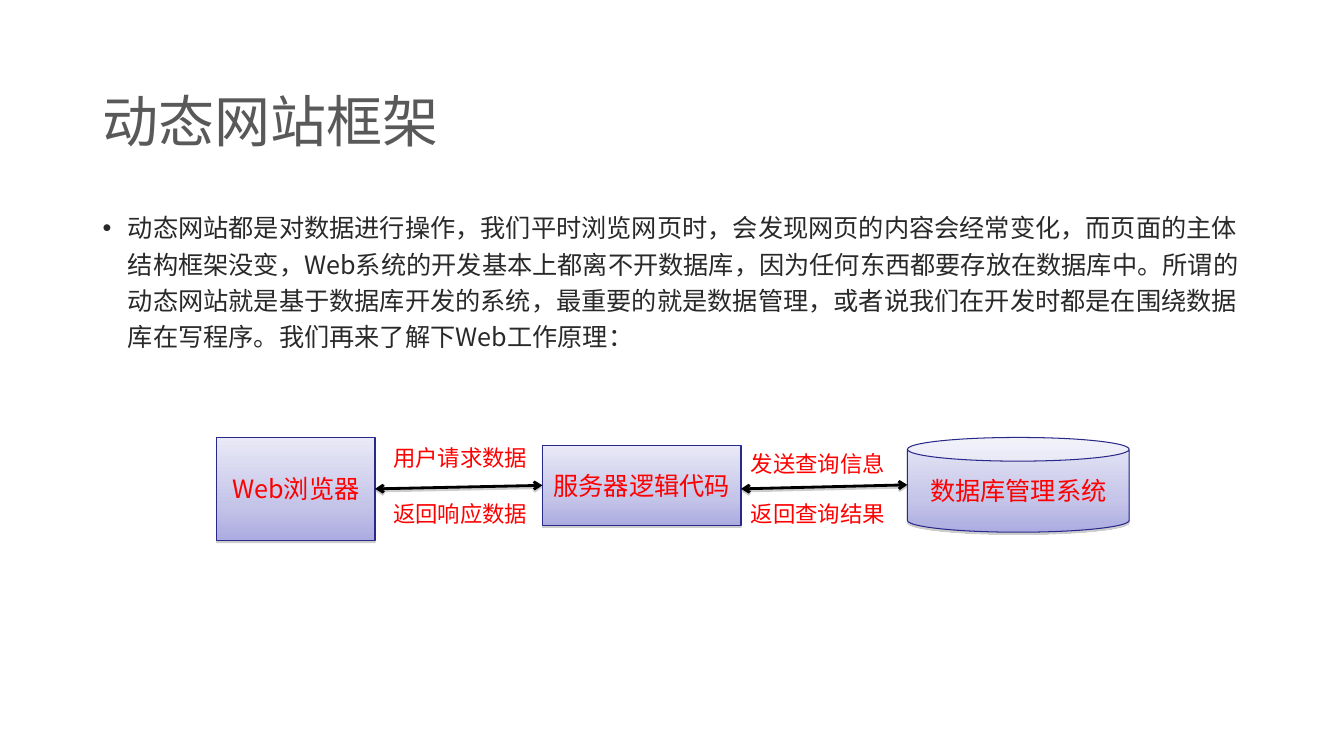
from lxml import etree
from pptx import Presentation, util as u
from pptx.dml.color import RGBColor
from pptx.enum import shapes, text
from pptx.oxml import parse_xml
from pptx.oxml.ns import nsdecls, qn

PX = 9144  # 100 px to the inch
THEME = dict(
    title=("Arial", 40, "595959"),
    body=("Noto Sans CJK SC", 18, "292929"),
    node=("Noto Sans CJK SC", 18, "FF0000"),
    label=("Noto Sans CJK SC", 16, "FF0000"),
    east_asian="Noto Sans CJK SC",
    gradient=[(0, "E9E9F7"), (65, "C5C5E9"), (100, "ACACE1")],
    border="292989",
    arrow="000000",
    shadow="808080",
)


def write(tf, words, style, anchor=text.MSO_ANCHOR.TOP):
    """Put one styled paragraph in a text frame."""
    name, size, color = THEME[style]
    tf.text = words
    tf.vertical_anchor = anchor
    p = tf.paragraphs[0]
    for r in p.runs:
        r.font.name, r.font.size = name, u.Pt(size)
        r.font.color.rgb = RGBColor.from_string(color)
        ea = etree.SubElement(r.font._element, qn("a:ea"))
        ea.set("typeface", THEME["east_asian"])
    return p


def add_shadow(sp):
    """Append a soft shadow falling straight down."""
    sp._element.spPr.append(parse_xml(
        f'<a:effectLst {nsdecls("a")}><a:outerShdw dist="{u.Pt(1.6)}" dir="5400000" '
        f'rotWithShape="0"><a:srgbClr val="{THEME["shadow"]}"><a:alpha val="38000"/>'
        '</a:srgbClr></a:outerShdw></a:effectLst>'))


prs = Presentation()
prs.slide_width, prs.slide_height = 1333 * PX, 750 * PX
s = prs.slides.add_slide(prs.slide_layouts[6])

# Title
tf = s.shapes.add_textbox(92 * PX, 40 * PX, 1150 * PX, 145 * PX).text_frame
tf.word_wrap = True
p = write(tf, "动态网站框架", "title", text.MSO_ANCHOR.MIDDLE)
p.line_spacing = 1.2

# Bulleted introduction
tf = s.shapes.add_textbox(92 * PX, 200 * PX, 1157 * PX, 476 * PX).text_frame
tf.word_wrap = True
p = write(tf, "动态网站都是对数据进行操作，我们平时浏览网页时，会发现网页的内容会经常变化，"
          "而页面的主体结构框架没变，Web系统的开发基本上都离不开数据库，"
          "因为任何东西都要存放在数据库中。所谓的动态网站就是基于数据库开发的系统，"
          "最重要的就是数据管理，或者说我们在开发时都是在围绕数据库在写程序。"
          "我们再来了解下Web工作原理：", "body")
p.line_spacing = 1.2
pPr = p._p.get_or_add_pPr()
pPr.set("marL", str(25 * PX))
pPr.set("indent", str(-25 * PX))
etree.SubElement(pPr, qn("a:buFont")).set("typeface", "Arial")
etree.SubElement(pPr, qn("a:buChar")).set("char", "•")

# Browser, server and database
RECT, CAN = shapes.MSO_SHAPE.RECTANGLE, shapes.MSO_SHAPE.CAN
nodes = []
for kind, words, x, y, w, h in [
    (RECT, "Web浏览器", 215, 434, 157, 102),
    (RECT, "服务器逻辑代码", 538, 442, 197, 79),
    (CAN, "数据库管理系统", 900, 434, 220, 94),
]:
    sp = s.shapes.add_shape(kind, x * PX, y * PX, w * PX, h * PX)
    sp.fill.gradient()
    sp.fill.gradient_angle = 270
    stops = sp._element.spPr.find(".//" + qn("a:gsLst"))
    for old in list(stops):
        stops.remove(old)
    for pos, color in THEME["gradient"]:
        gs = etree.SubElement(stops, qn("a:gs"), pos=str(pos * 1000))
        etree.SubElement(gs, qn("a:srgbClr"), val=color)
    sp.line.color.rgb = RGBColor.from_string(THEME["border"])
    sp.line.width = u.Pt(0.75)
    add_shadow(sp)
    p = write(sp.text_frame, words, "node", text.MSO_ANCHOR.MIDDLE)
    p.alignment = text.PP_ALIGN.CENTER
    nodes.append(sp)
browser, server, database = nodes

# Two-way arrows
arrows = []
for x1, x2 in [(372, 538), (735, 900)]:
    cx = s.shapes.add_connector(shapes.MSO_CONNECTOR.STRAIGHT,
                                x1 * PX, 485 * PX, x2 * PX, 481 * PX)
    cx.line.color.rgb = RGBColor.from_string(THEME["arrow"])
    cx.line.width = u.Pt(2)
    for end in ("a:headEnd", "a:tailEnd"):
        etree.SubElement(cx.line._get_or_add_ln(), qn(end), type="arrow")
    add_shadow(cx)
    arrows.append(cx)
arrows[0].begin_connect(browser, 3)
arrows[0].end_connect(server, 1)

# Arrow labels
for words, x, y in [
    ("用户请求数据", 380, 436),
    ("返回响应数据", 380, 491),
    ("发送查询信息", 735, 442),
    ("返回查询结果", 735, 491),
]:
    tf = s.shapes.add_textbox(x * PX, y * PX, 155 * PX, 37 * PX).text_frame
    tf.word_wrap = False
    tf.auto_size = text.MSO_AUTO_SIZE.SHAPE_TO_FIT_TEXT
    write(tf, words, "label")

prs.save("out.pptx")
